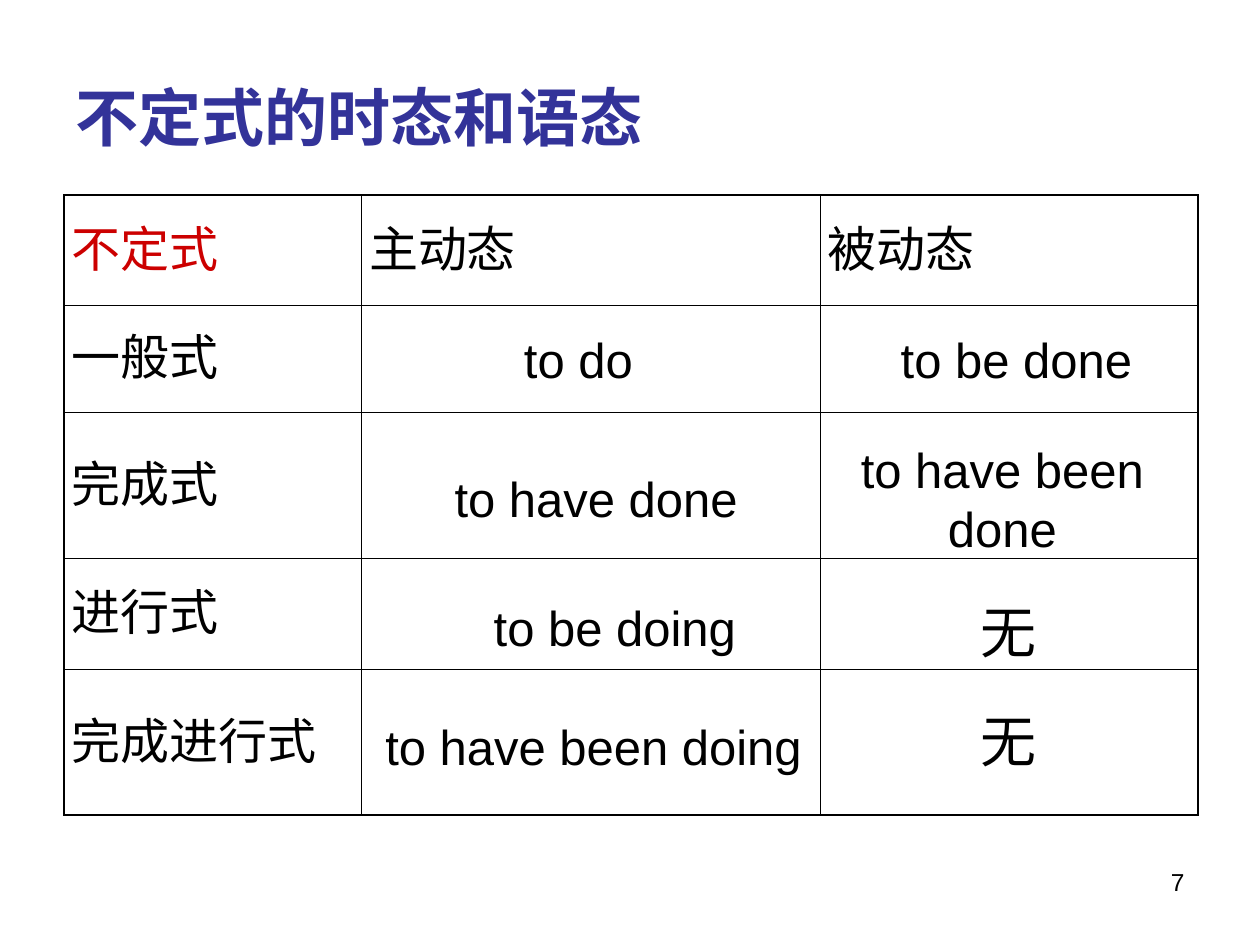
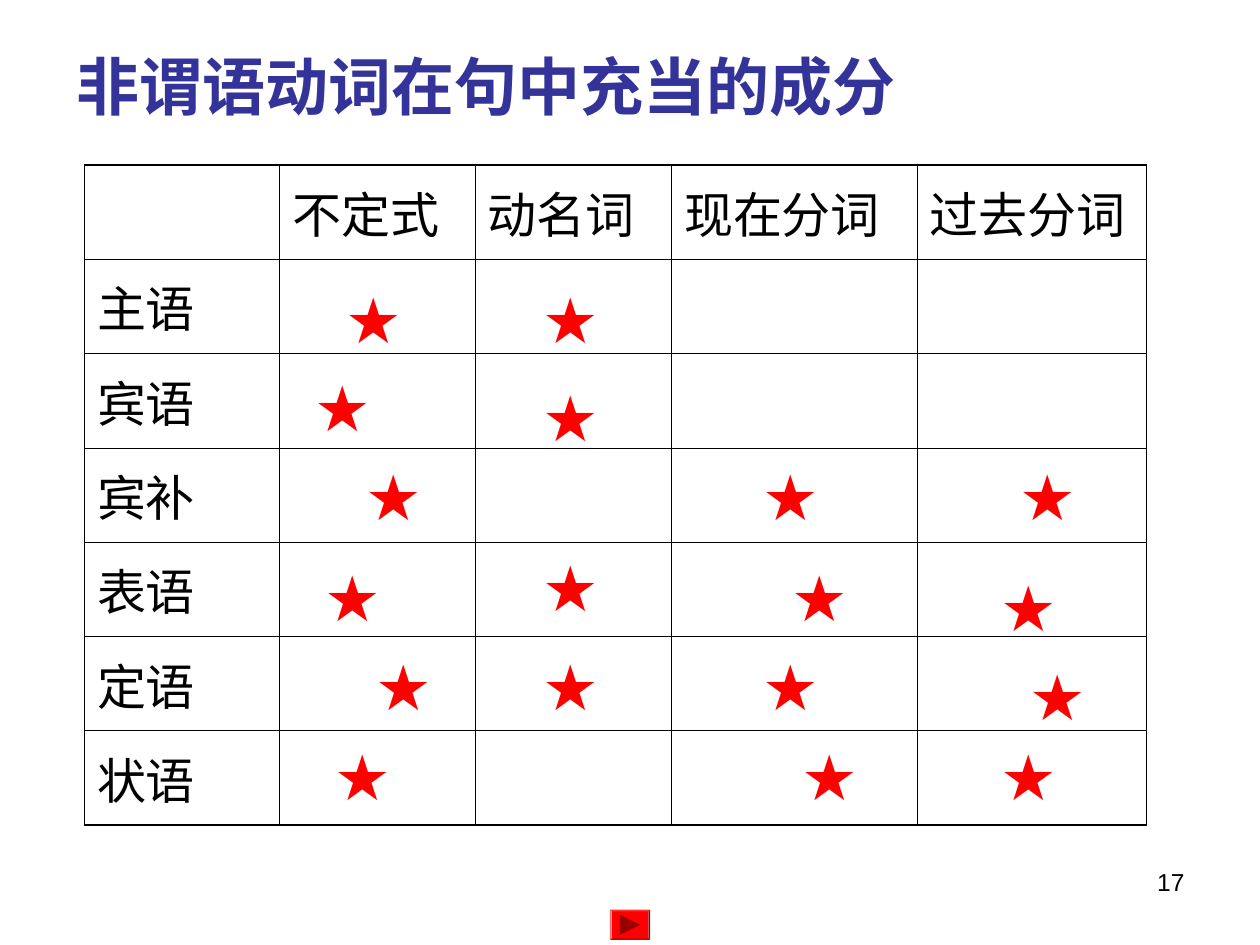
from itertools import accumulate

from lxml import etree
from pptx import Presentation
from pptx.dml.color import RGBColor
from pptx.enum.shapes import MSO_SHAPE
from pptx.enum.text import MSO_ANCHOR, MSO_AUTO_SIZE, PP_ALIGN
from pptx.oxml.ns import qn
from pptx.util import Inches, Pt

LEFT, CENTER, RIGHT = PP_ALIGN.LEFT, PP_ALIGN.CENTER, PP_ALIGN.RIGHT
MIDDLE = MSO_ANCHOR.MIDDLE
NO_FIT, GROW = MSO_AUTO_SIZE.NONE, MSO_AUTO_SIZE.SHAPE_TO_FIT_TEXT
BEVEL = MSO_SHAPE.BEVEL

BLACK = RGBColor(0x00, 0x00, 0x00)
TITLE_BLUE = RGBColor(0x33, 0x33, 0x99)
HEAD_RED = RGBColor(0xCC, 0x00, 0x00)
STAR_RED = RGBColor(0xFF, 0x00, 0x00)
ARROW_RED = RGBColor(0x99, 0x00, 0x00)
LATIN, CJK = "Arial", "Noto Sans CJK SC"
OUTER, INNER = 1.1, 0.45
STAR_SIZE = 0.7

TENSES = [
    ["不定式", "主动态", "被动态"],
    ["一般式"],
    ["完成式"],
    ["进行式"],
    ["完成进行式"],
]
TENSE_COLS = [2.36, 3.64, 3]
TENSE_ROWS = [0.87, 0.85, 1.16, 0.88, 1.16]
VERB_FORMS = [
    (1, 1, 1.19, 0.15, 1.15, 0.57, "to do", 28),
    (1, 2, 0.54, 0.15, 2.12, 0.57, "to be done", 28),
    (2, 1, 0.64, 0.4, 2.55, 0.57, "to have done", 28),
    (2, 2, 0.17, 0.17, 2.55, 1.04, "to have been\ndone", 28),
    (3, 1, 0.95, 0.26, 2.22, 0.57, "to be doing", 28),
    (3, 2, 1.17, 0.26, 0.64, 0.64, "无", 32),
    (4, 1, 0.09, 0.33, 3.6, 0.57, "to have been doing", 28),
    (4, 2, 1.17, 0.25, 0.64, 0.64, "无", 32),
]

ROLES = [
    ["", "不定式", "动名词", "现在分词", "过去分词"],
    ["主语"],
    ["宾语"],
    ["宾补"],
    ["表语"],
    ["定语"],
    ["状语"],
]
ROLE_COLS = [1.55, 1.55, 1.56, 1.95, 1.82]
ROLE_ROWS = [5.24 / len(ROLES)] * len(ROLES)
STARS = {
    1: {1: (0.42, 0.12), 2: (0.44, 0.12)},
    2: {1: (0.18, 0.07), 2: (0.44, 0.15)},
    3: {1: (0.58, 0.03), 3: (0.62, 0.03), 4: (0.71, 0.03)},
    4: {1: (0.26, 0.08), 2: (0.44, 0), 3: (0.85, 0.08), 4: (0.56, 0.16)},
    5: {1: (0.66, 0.04), 2: (0.44, 0.04), 3: (0.62, 0.04), 4: (0.79, 0.12)},
    6: {1: (0.34, 0), 3: (0.93, 0), 4: (0.56, 0)},
}


def set_text(tf, text, size, color=BLACK, font=LATIN, bold=False, align=LEFT):
    tf.text = text
    for p in tf.paragraphs:
        p.alignment = align
        for r in p.runs:
            r.font.size = Pt(size)
            r.font.name = font
            r.font.bold = bold
            r.font.color.rgb = color
            ea = etree.SubElement(r.font._element, qn("a:ea"))
            ea.set("typeface", font)


def add_text(slide, box, text, size, color=BLACK, align=LEFT, grow=True):
    tf = slide.shapes.add_textbox(*map(Inches, box)).text_frame
    tf.word_wrap = not grow
    tf.auto_size = GROW if grow else NO_FIT
    set_text(tf, text, size, color, align=align)


def add_base(prs, title, box, number):
    slide = prs.slides.add_slide(prs.slide_layouts[5])
    sp = slide.shapes.title
    sp.left, sp.top, sp.width, sp.height = map(Inches, box)
    tf = sp.text_frame
    tf.vertical_anchor = MIDDLE
    tf.auto_size = NO_FIT
    set_text(tf, title, 36, TITLE_BLUE, bold=True)
    add_text(slide, (7.17, 6.83, 2.33, 0.52), number, 14, align=RIGHT, grow=False)
    return slide


def set_borders(cell, widths):
    tc_pr = cell._tc.get_or_add_tcPr()
    for side, width in zip("LRTB", widths):
        ln = etree.SubElement(tc_pr, qn(f"a:ln{side}"), w=str(Pt(width)))
        fill = etree.SubElement(ln, qn("a:solidFill"))
        etree.SubElement(fill, qn("a:srgbClr"), val=str(BLACK))


def add_grid(slide, x, y, cols, rows, labels, font, side_margin):
    size = map(Inches, (x, y, sum(cols), sum(rows)))
    table = slide.shapes.add_table(len(rows), len(cols), *size).table
    table.first_row = table.horz_banding = False
    for column, width in zip(table.columns, cols):
        column.width = Inches(width)
    for row, height in zip(table.rows, rows):
        row.height = Inches(height)
    for i in range(len(rows)):
        for j in range(len(cols)):
            cell = table.cell(i, j)
            edges = (j == 0, j == len(cols) - 1, i == 0, i == len(rows) - 1)
            set_borders(cell, [OUTER if edge else INNER for edge in edges])
            cell.fill.background()
            cell.vertical_anchor = MIDDLE
            cell.margin_left = cell.margin_right = Inches(side_margin)
            cell.margin_top = cell.margin_bottom = Inches(0.05)
            if j < len(labels[i]):
                color = HEAD_RED if i == j == 0 else BLACK
                set_text(cell.text_frame, labels[i][j], 28, color, font)
    return list(accumulate(cols, initial=x)), list(accumulate(rows, initial=y))


def add_next_button(slide, x, y, w, h):
    sp = slide.shapes.add_shape(BEVEL, *map(Inches, (x, y, w, h)))
    sp.adjustments[0] = 0.06
    builder = slide.shapes.build_freeform(
        Inches(x + w / 4), Inches(y + h / 6), scale=1.0
    )
    corners = [(x + w * 3 / 4, y + h / 2), (x + w / 4, y + h * 5 / 6)]
    builder.add_line_segments([(Inches(a), Inches(b)) for a, b in corners])
    arrow = builder.convert_to_shape()
    for shape, color in ((sp, STAR_RED), (arrow, ARROW_RED)):
        shape.shadow.inherit = False
        shape.fill.solid()
        shape.fill.fore_color.rgb = color
        shape.line.fill.background()


def build_tenses(prs):
    slide = add_base(prs, "不定式的时态和语态", (0.5, 0.3, 9, 1.25), "7")
    xs, ys = add_grid(slide, 0.51, 1.55, TENSE_COLS, TENSE_ROWS, TENSES, LATIN, 0.06)
    for row, col, dx, dy, w, h, text, size in VERB_FORMS:
        align = CENTER if "\n" in text else LEFT
        add_text(slide, (xs[col] + dx, ys[row] + dy, w, h), text, size, align=align)


def build_roles(prs):
    slide = add_base(prs, "非谓语动词在句中充当的成分", (0.51, 0.28, 9, 0.79), "17")
    xs, ys = add_grid(slide, 0.67, 1.31, ROLE_COLS, ROLE_ROWS, ROLES, CJK, 0.1)
    for row, marks in STARS.items():
        for col, (dx, dy) in marks.items():
            box = (xs[col] + dx, ys[row] + dy, STAR_SIZE, STAR_SIZE)
            add_text(slide, box, "★", 36, STAR_RED)
    add_next_button(slide, 4.84, 7.22, 0.32, 0.24)


def main():
    prs = Presentation()
    prs.slide_width, prs.slide_height = Inches(10), Inches(7.5)
    build_tenses(prs)
    build_roles(prs)
    prs.save("out.pptx")


if __name__ == "__main__":
    main()
